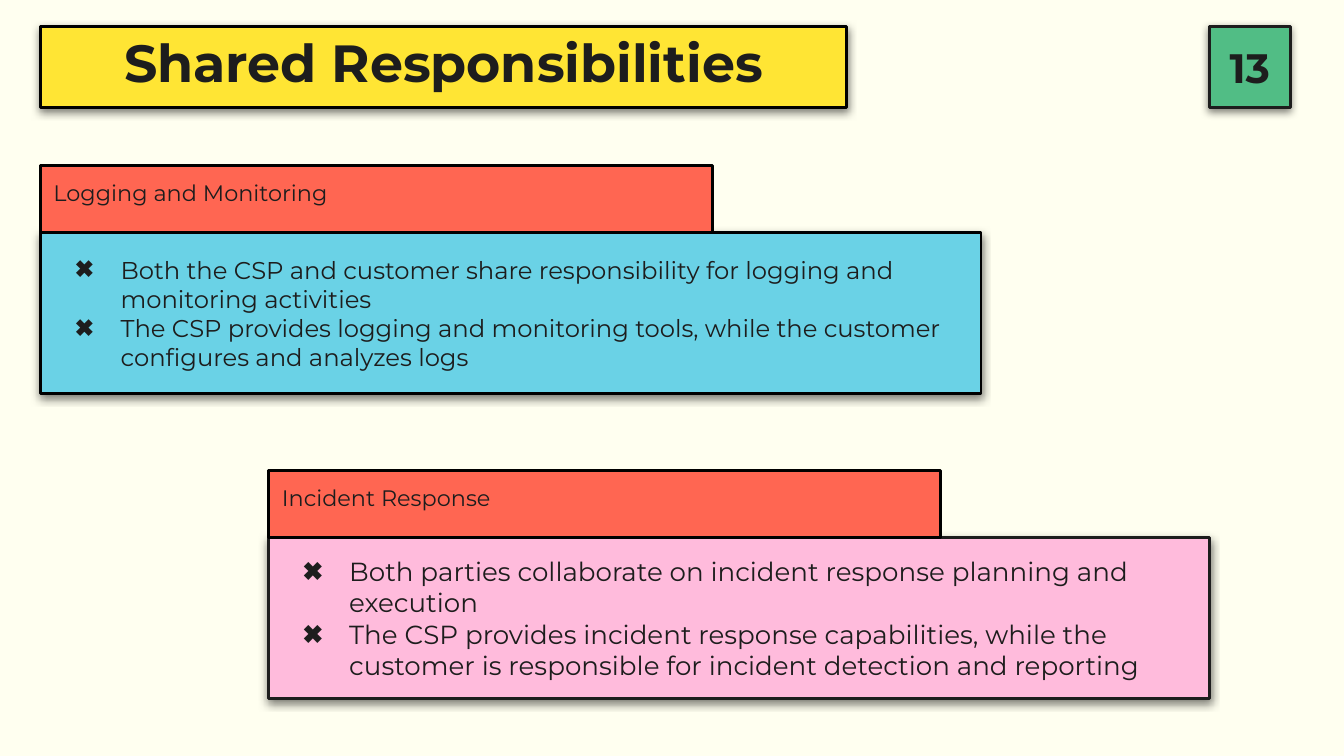
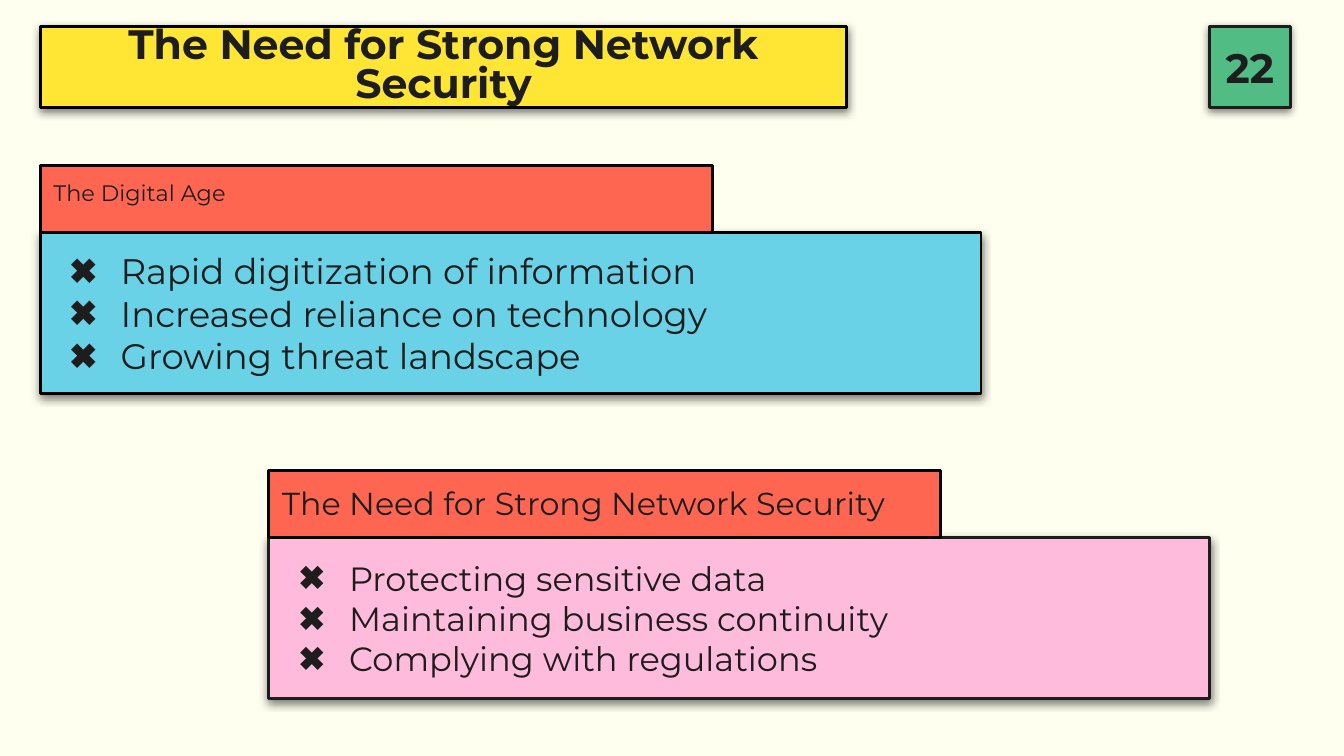
from dataclasses import dataclass

from lxml import etree
from pptx import Presentation
from pptx.dml.color import RGBColor
from pptx.enum.shapes import MSO_SHAPE
from pptx.enum.text import MSO_ANCHOR, PP_ALIGN
from pptx.oxml.ns import qn
from pptx.util import Inches, Pt

RECTANGLE = MSO_SHAPE.RECTANGLE
TOP, MIDDLE = MSO_ANCHOR.TOP, MSO_ANCHOR.MIDDLE
LEFT, CENTER = PP_ALIGN.LEFT, PP_ALIGN.CENTER

# Content: each section is (heading, heading size, bullets, bullet size)
SLIDES = [
    {
        "number": "13",
        "title": ("Shared Responsibilities", 28),
        "sections": [
            ("Logging and Monitoring", 12, [
                "Both the CSP and customer share responsibility for logging and monitoring activities",
                "The CSP provides logging and monitoring tools, while the customer configures and analyzes logs",
            ], 13),
            ("Incident Response", 12, [
                "Both parties collaborate on incident response planning and execution",
                "The CSP provides incident response capabilities, while the customer "
                "is responsible for incident detection and reporting",
            ], 14),
        ],
    },
    {
        "number": "22",
        "title": ("The Need for Strong Network Security", 22),
        "sections": [
            ("The Digital Age", 12, [
                "Rapid digitization of information",
                "Increased reliance on technology",
                "Growing threat landscape",
            ], 19),
            ("The Need for Strong Network Security", 17, [
                "Protecting sensitive data",
                "Maintaining business continuity",
                "Complying with regulations",
            ], 18),
        ],
    },
]


@dataclass(frozen=True)
class Theme:
    font: str = "Montserrat"
    background: str = "FFFFF0"
    ink: str = "1D1D1D"
    black: str = "000000"
    title: str = "FFE534"
    number: str = "51BD85"
    tab: str = "FF6652"
    blue: str = "6AD2E6"
    pink: str = "FFBBDC"
    number_size: int = 22
    outline: float = 1.5
    bullet: str = "✖"


THEME = Theme()

# Layout in inches
SLIDE_WIDTH = 10
MARGIN = 0.3
HEADER_TOP, HEADER_HEIGHT = 0.2, 0.6
TITLE_WIDTH = 6
NUMBER_LEFT = 9
TAB_WIDTH, TAB_HEIGHT = 5, 0.5
PANEL_WIDTH, PANEL_HEIGHT = 7, 1.2
TEXT_INSET = 0.1
BULLET_MARGIN = 0.5

# One slot per section: left, panel top, panel fill, panel outline
SLOTS = [
    (MARGIN, 1.73, THEME.blue, THEME.black),
    (SLIDE_WIDTH - MARGIN * 10 / 3 - PANEL_WIDTH, 4, THEME.pink, THEME.ink),
]


def rgb(value):
    return RGBColor.from_string(value)


def add_shadow(shape):
    """Drop a soft half-transparent shadow straight down."""
    effects = shape._element.spPr.find(qn("a:effectLst"))
    shadow = etree.SubElement(effects, qn("a:outerShdw"), blurRad=str(Pt(4.5)),
                              dist=str(Pt(1.5)), dir=str(90 * 60000),
                              algn="bl", rotWithShape="0")
    color = etree.SubElement(shadow, qn("a:srgbClr"), val=THEME.black)
    etree.SubElement(color, qn("a:alpha"), val="50000")


def add_bullet(paragraph, size):
    """Hang the bullet; its indent grows with the type size."""
    properties = paragraph._p.get_or_add_pPr()
    properties.set("marL", str(Inches(BULLET_MARGIN)))
    properties.set("indent", str(-Pt(18 + size / 2)))
    color = etree.SubElement(properties, qn("a:buClr"))
    etree.SubElement(color, qn("a:srgbClr"), val=THEME.ink)
    etree.SubElement(properties, qn("a:buFont"), typeface=THEME.font)
    etree.SubElement(properties, qn("a:buChar"), char=THEME.bullet)


def add_box(slide, box, fill, lines, size, outline=THEME.black, bold=False,
            align=LEFT, anchor=MIDDLE, spacing=None, shadow=True, bullets=False):
    shape = slide.shapes.add_shape(RECTANGLE, *(Inches(length) for length in box))
    shape.fill.solid()
    shape.fill.fore_color.rgb = rgb(fill)
    shape.line.color.rgb = rgb(outline)
    shape.line.width = Pt(THEME.outline)
    etree.SubElement(shape._element.spPr.find(qn("a:ln")), qn("a:round"))
    shape.shadow.inherit = False
    if shadow:
        add_shadow(shape)

    frame = shape.text_frame
    frame.word_wrap = True
    frame.vertical_anchor = anchor
    frame.margin_left = frame.margin_right = Inches(TEXT_INSET)
    frame.margin_top = frame.margin_bottom = Inches(TEXT_INSET)
    frame.text = "\n".join(lines)
    for paragraph in frame.paragraphs:
        paragraph.alignment = align
        if spacing:
            paragraph.line_spacing = spacing
        if bullets:
            add_bullet(paragraph, size)
        for run in paragraph.runs:
            run.font.name = THEME.font
            run.font.size = Pt(size)
            run.font.bold = bold
            run.font.color.rgb = rgb(THEME.ink)


def add_slide(presentation, content):
    slide = presentation.slides.add_slide(presentation.slide_layouts[6])
    slide.background.fill.solid()
    slide.background.fill.fore_color.rgb = rgb(THEME.background)

    # Header: number badge and title
    add_box(slide, (NUMBER_LEFT, HEADER_TOP, HEADER_HEIGHT, HEADER_HEIGHT),
            THEME.number, [content["number"]], THEME.number_size,
            outline=THEME.ink, bold=True, align=CENTER)
    title, title_size = content["title"]
    add_box(slide, (MARGIN, HEADER_TOP, TITLE_WIDTH, HEADER_HEIGHT), THEME.title,
            [title], title_size, bold=True, align=CENTER, spacing=0.8)

    # Sections: a panel with a heading tab standing on it
    for slot, section in zip(SLOTS, content["sections"]):
        left, top, fill, outline = slot
        heading, heading_size, bullets, bullet_size = section
        add_box(slide, (left, top, PANEL_WIDTH, PANEL_HEIGHT), fill, bullets,
                bullet_size, outline=outline, bullets=True)
        add_box(slide, (left, top - TAB_HEIGHT, TAB_WIDTH, TAB_HEIGHT), THEME.tab,
                [heading], heading_size, anchor=TOP, shadow=False)


def main():
    presentation = Presentation()
    presentation.slide_width = Inches(SLIDE_WIDTH)
    presentation.slide_height = Inches(SLIDE_WIDTH) * 9 // 16
    for content in SLIDES:
        add_slide(presentation, content)
    presentation.save("out.pptx")


if __name__ == "__main__":
    main()
